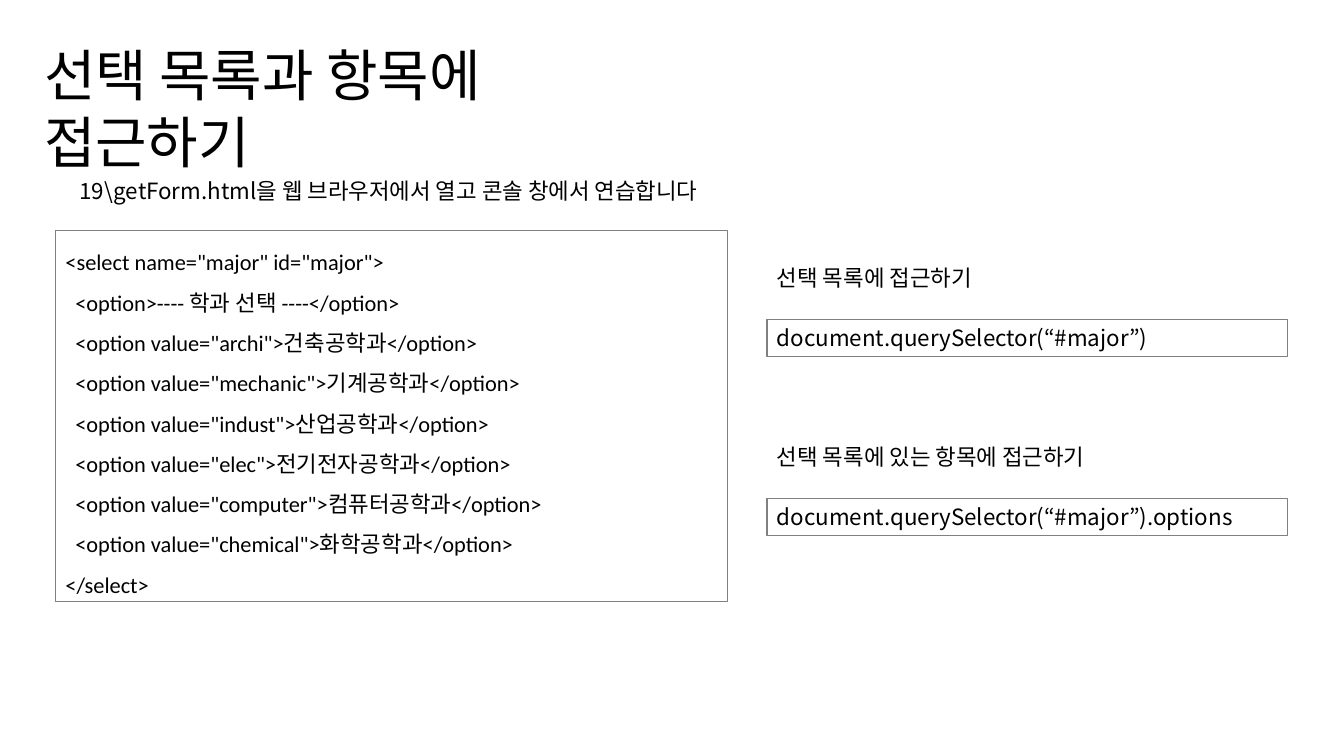
from lxml.etree import SubElement
from pptx import Presentation
from pptx.dml.color import RGBColor
from pptx.enum.shapes import MSO_SHAPE
from pptx.enum.text import MSO_ANCHOR, MSO_AUTO_SIZE, PP_ALIGN
from pptx.oxml.ns import qn
from pptx.util import Cm, Pt

KOREAN_FONT = "Noto Sans CJK KR"


def color(value):
    return RGBColor.from_string(value)


def add_box(left, top, width, height, lines, size=16, font=KOREAN_FONT, spacing=1.0, framed=False):
    place = Cm(left), Cm(top), Cm(width), Cm(height)
    if framed:
        box = page.shapes.add_shape(MSO_SHAPE.RECTANGLE, *place)
        box.shadow.inherit = False
        box.fill.background()
        box.line.color.rgb = color("808080")
        box.line.width = Pt(0.75)
    else:
        box = page.shapes.add_textbox(*place)
    frame = box.text_frame
    frame.word_wrap = True
    frame.auto_size = MSO_AUTO_SIZE.SHAPE_TO_FIT_TEXT
    frame.vertical_anchor = MSO_ANCHOR.TOP
    frame.text = "\n".join(lines)
    for para in frame.paragraphs:
        para.alignment = PP_ALIGN.LEFT
        para.line_spacing = spacing
        para.font.size = Pt(size)
        para.font.name = font
        para.font.color.rgb = color("000000")
        defaults = para._p.pPr.find(qn("a:defRPr"))
        SubElement(defaults, qn("a:ea")).set("typeface", KOREAN_FONT)
    return frame


deck = Presentation()
deck.slide_width = Cm(33.87)
deck.slide_height = Cm(19.05)
page = deck.slides.add_slide(deck.slide_layouts[6])

majors = [
    ("archi", "건축공학과"),
    ("mechanic", "기계공학과"),
    ("indust", "산업공학과"),
    ("elec", "전기전자공학과"),
    ("computer", "컴퓨터공학과"),
    ("chemical", "화학공학과"),
]
options = ["<option>---- 학과 선택 ----</option>"]
options += [f'<option value="{value}">{name}</option>' for value, name in majors]
code_lines = ['<select name="major" id="major">', *options, "</select>"]
code = add_box(1.4, 5.8, 16.94, 9.37, code_lines, font="Calibri", spacing=1.5, framed=True)
for para in code.paragraphs[1:-1]:
    para._p.pPr.set("marL", str(Cm(0.25)))
    para._p.pPr.set("indent", "0")

add_box(1.75, 3.99, 22.4, 1.14,
        ["19\\getForm.html을 웹 브라우저에서 열고 콘솔 창에서 연습합니다"], spacing=1.5)

examples = [
    ("선택 목록에 접근하기", "document.querySelector(“#major”)"),
    ("선택 목록에 있는 항목에 접근하기", "document.querySelector(“#major”).options"),
]
for index, (caption, command) in enumerate(examples):
    top = 6.52 + index * 4.51
    add_box(19.33, top, 10.19, 0.94, [caption])
    add_box(19.33, top + 1.53, 13.13, 0.94, [command], framed=True)

add_box(0.86, 0.89, 16.94, 1.96, ["선택 목록과 항목에 접근하기"], size=40)

deck.save("out.pptx")
